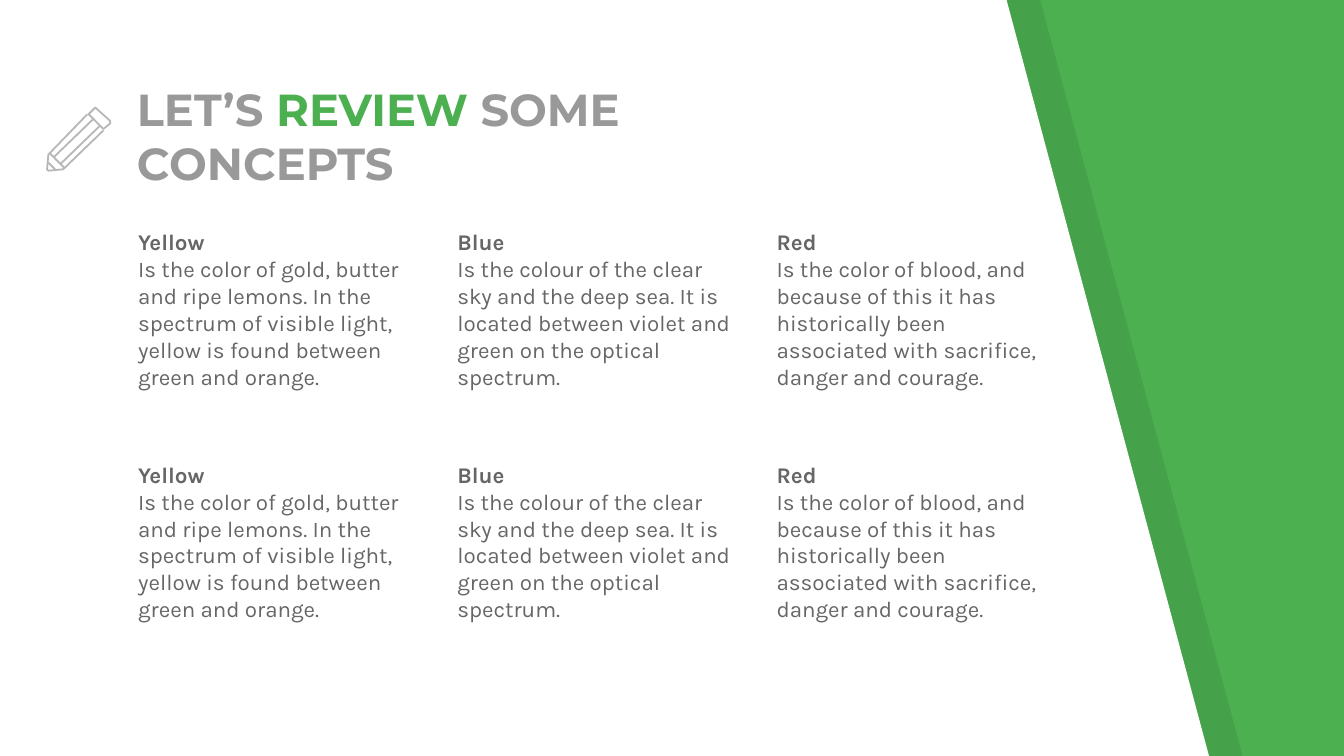
from lxml import etree
from pptx import Presentation
from pptx import util as u
from pptx.dml.color import RGBColor
from pptx.enum import shapes, text
from pptx.oxml.ns import qn

GREEN, GREY, DARK, LINE = "4CAF50", "999999", "666666", "B7B7B7"
TOPICS = [
    ("Yellow", "Is the color of gold, butter and ripe lemons. In the spectrum "
     "of visible light, yellow is found between green and orange."),
    ("Blue", "Is the colour of the clear sky and the deep sea. It is located "
     "between violet and green on the optical spectrum."),
    ("Red", "Is the color of blood, and because of this it has historically "
     "been associated with sacrifice, danger and courage."),
]
CAP = [(0.82, 0.9), (0.72, 0.81), (0.71, 0.8), (0.7, 0.81), (0.66, 0.85),
       (0.77, 0.96), (0.82, 0.92)]
BODY = [(0.65, 0.85), (0.37, 1.14), (0.36, 1.15), (0.35, 1.26), (0.36, 1.27),
        (0.47, 1.26), (0.48, 1.25), (0.77, 0.97)]
STROKES = [((0.74, 0.94), (0.45, 1.22)), ((0.4, 1.17), (0.69, 0.89)),
           ((0.41, 1.26), (0.36, 1.21)), ((0.37, 1.14), (0.48, 1.25))]


def color(code):
    return RGBColor.from_string(code)


def outline(slide, points, close=True):
    dots = [(u.Inches(x), u.Inches(y)) for x, y in points]
    pen = slide.shapes.build_freeform(*dots[0])
    pen.add_line_segments(dots[1:], close=close)
    shape = pen.convert_to_shape()
    shape.shadow.inherit = False
    return shape


def panel(slide, left, code, alpha=None):
    shape = outline(slide, [(left, -0.01), (left, 5.64),
                            (left + 9, 5.64), (left + 7.49, 0)])
    shape.line.fill.background()
    shape.fill.solid()
    shape.fill.fore_color.rgb = color(code)
    if alpha:
        tone = shape.fill._xPr.find(".//" + qn("a:srgbClr"))
        etree.SubElement(tone, qn("a:alpha")).set("val", str(alpha * 1000))


def ink(shape):
    shape.line.color.rgb = color(LINE)
    shape.line.width = u.Pt(0.96)


def stroke(slide, start, end):
    line = slide.shapes.add_connector(
        shapes.MSO_CONNECTOR.STRAIGHT,
        *(u.Inches(v) for v in (*start, *end)))
    etree.SubElement(line._element.spPr, qn("a:effectLst"))
    ink(line)


def pencil(slide):
    for points, close in ((CAP, True), (BODY, False)):
        shape = outline(slide, points, close)
        shape.fill.background()
        ink(shape)
    for start, end in STROKES:
        stroke(slide, start, end)


def style(run, face, size, code, bold):
    run.font.name = face
    run.font.size = u.Pt(size)
    run.font.color.rgb = color(code)
    run.font.bold = bold


def box(slide, left, top, width, height):
    shape = slide.shapes.add_textbox(*(u.Inches(v) for v in
                                       (left, top, width, height)))
    frame = shape.text_frame
    frame.word_wrap = True
    frame.margin_left = frame.margin_right = u.Inches(0.1)
    frame.margin_top = frame.margin_bottom = u.Inches(0.1)
    return frame


def title(slide):
    frame = box(slide, 0.92, 1.06, 5.25, 0.45)
    frame.vertical_anchor = text.MSO_ANCHOR.BOTTOM
    parts = [("LET’S ", GREY), ("REVIEW", GREEN), (" SOME CONCEPTS", GREY)]
    for words, code in parts:
        run = frame.paragraphs[0].add_run()
        run.text = words
        style(run, "Montserrat", 24, code, True)


def topic(slide, left, top, name, note):
    frame = box(slide, left, top, 2.26, 1.43)
    frame.text = f"{name}\n{note}"
    for para, bold in zip(frame.paragraphs, (True, False)):
        style(para.runs[0], "Karla", 12, DARK, bold)


def main():
    deck = Presentation()
    deck.slide_width, deck.slide_height = u.Inches(10), u.Inches(10 * 9 / 16)
    slide = deck.slides.add_slide(deck.slide_layouts[6])
    slide.background.fill.solid()
    slide.background.fill.fore_color.rgb = color(GREEN)
    panel(slide, 0.25, "000000", 7)
    panel(slide, 0, "FFFFFF")
    title(slide)
    for row in range(2):
        for col, (name, note) in enumerate(TOPICS):
            topic(slide, 0.93 + col * 4.75 / 2, 1.6 + row * 1.73, name, note)
    pencil(slide)
    deck.save("out.pptx")


if __name__ == "__main__":
    main()
